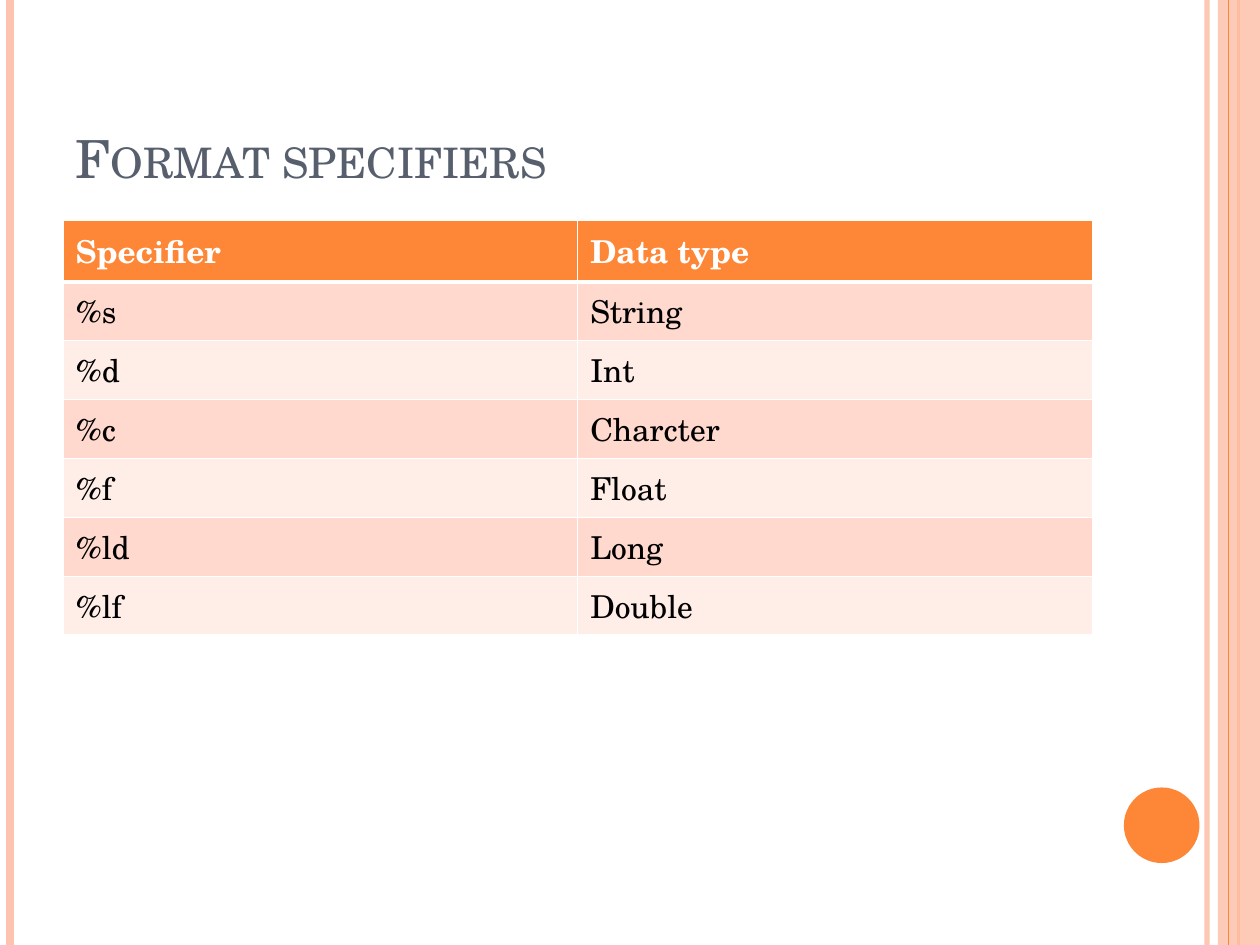
from dataclasses import dataclass

from lxml import etree
from pptx import Presentation
from pptx import util as u
from pptx.dml.color import RGBColor
from pptx.enum import shapes, text
from pptx.oxml.ns import qn


@dataclass(frozen=True)
class Theme:
    font: str = "TeX Gyre Schola"
    title_size: float = 30
    cell_size: float = 18
    title: str = "575F6D"
    accent: str = "FE8637"
    peach: str = "FEC3AE"
    bands: tuple = ("FFD9CE", "FFEDE8")
    paper: str = "FFFFFF"
    ink: str = "000000"


@dataclass(frozen=True)
class Box:
    left: float
    top: float
    width: float
    height: float

    def inches(self):
        return [u.Inches(n) for n in (self.left, self.top, self.width, self.height)]


THEME = Theme()
PAGE = Box(0, 0, 10, 7.5)
TITLE = Box(0.5, 0.3, 8.17, 1.25)
TABLE = Box(0.5, 1.75, 8.17, 2.84)

SPECIFIERS = [
    ("Specifier", "Data type"),
    ("%s", "String"),
    ("%d", "Int"),
    ("%c", "Charcter"),
    ("%f", "Float"),
    ("%ld", "Long"),
    ("%lf", "Double"),
]


def rgb(value):
    return RGBColor.from_string(value)


def set_alpha(properties, percent):
    color = properties.find(".//" + qn("a:srgbClr"))
    etree.SubElement(color, qn("a:alpha"), val=str(percent * 1000))


def add_run(paragraph, words, size, color, bold=False):
    run = paragraph.add_run()
    run.text = words
    run.font.name = THEME.font
    run.font.size = u.Pt(size)
    run.font.bold = bold
    run.font.color.rgb = rgb(color)
    return run


def add_stripe(slide, box, share, color, weight, alpha=None):
    """Vertical line over the whole box, at a share of its width."""
    x = u.Inches(box.left + box.width * share)
    stripe = slide.shapes.add_connector(
        shapes.MSO_CONNECTOR.STRAIGHT,
        x, u.Inches(box.top), x, u.Inches(box.top + box.height))
    stripe.line.color.rgb = rgb(color)
    stripe.line.width = u.Pt(weight)
    properties = stripe.element.spPr
    if alpha:
        set_alpha(properties, alpha)
    etree.SubElement(properties, qn("a:effectLst"))


def add_solid(slide, kind, box, color, alpha=None):
    solid = slide.shapes.add_shape(kind, *box.inches())
    solid.shadow.inherit = False
    solid.fill.solid()
    solid.fill.fore_color.rgb = rgb(color)
    solid.line.fill.background()
    if alpha:
        set_alpha(solid.element.spPr, alpha)


def add_frame(slide, box):
    """Side stripes, right band and corner disc."""
    add_stripe(slide, box, 0.958, THEME.peach, 3, alpha=93)
    add_stripe(slide, box, 0.008, THEME.peach, 4.5)
    add_stripe(slide, box, 0.983, THEME.accent, 1.5)
    band = box.width / 30
    add_solid(slide, shapes.MSO_SHAPE.RECTANGLE,
              Box(box.left + box.width - band, box.top, band, box.height),
              THEME.peach, alpha=87)
    add_stripe(slide, box, 0.975, THEME.accent, 0.75)
    disc = box.width * 0.06
    add_solid(slide, shapes.MSO_SHAPE.OVAL,
              Box(box.left + box.width * 0.892, box.top + box.height * 5 / 6, disc, disc),
              THEME.accent)


def add_title(slide, box, words):
    heading = slide.shapes.title
    heading.left, heading.top, heading.width, heading.height = box.inches()
    frame = heading.text_frame
    frame.word_wrap = True
    frame.auto_size = text.MSO_AUTO_SIZE.NONE
    frame.vertical_anchor = text.MSO_ANCHOR.BOTTOM
    paragraph = frame.paragraphs[0]
    paragraph.alignment = text.PP_ALIGN.LEFT
    run = add_run(paragraph, words, THEME.title_size, THEME.title)
    run.font._element.set("cap", "small")


def set_borders(cell, top, bottom):
    properties = cell._tc.get_or_add_tcPr()
    weights = {"a:lnL": 1, "a:lnR": 1, "a:lnT": top, "a:lnB": bottom}
    for position, (side, weight) in enumerate(weights.items()):
        edge = etree.Element(qn(side), w=str(u.Pt(weight)))
        fill = etree.SubElement(edge, qn("a:solidFill"))
        etree.SubElement(fill, qn("a:srgbClr"), val=THEME.paper)
        properties.insert(position, edge)


def add_specifier_table(slide, box, records):
    rows, columns = len(records), len(records[0])
    table = slide.shapes.add_table(rows, columns, *box.inches()).table
    for column in table.columns:
        column.width = u.Inches(box.width / columns)
    for row in table.rows:
        row.height = u.Inches(box.height / rows)

    for r, record in enumerate(records):
        header = r == 0
        for c, words in enumerate(record):
            cell = table.cell(r, c)
            cell.fill.solid()
            cell.fill.fore_color.rgb = rgb(
                THEME.accent if header else THEME.bands[(r - 1) % 2])
            # A heavy rule parts the header from the body
            set_borders(cell, top=3 if r == 1 else 1, bottom=3 if header else 1)
            add_run(cell.text_frame.paragraphs[0], words, THEME.cell_size,
                    THEME.paper if header else THEME.ink, bold=header)


def main():
    deck = Presentation()
    deck.slide_width, deck.slide_height = u.Inches(PAGE.width), u.Inches(PAGE.height)
    slide = deck.slides.add_slide(deck.slide_layouts.get_by_name("Title Only"))
    slide.background.fill.solid()
    slide.background.fill.fore_color.rgb = rgb(THEME.paper)

    add_frame(slide, PAGE)
    add_title(slide, TITLE, "Format specifiers")
    add_specifier_table(slide, TABLE, SPECIFIERS)
    deck.save("out.pptx")


if __name__ == "__main__":
    main()
